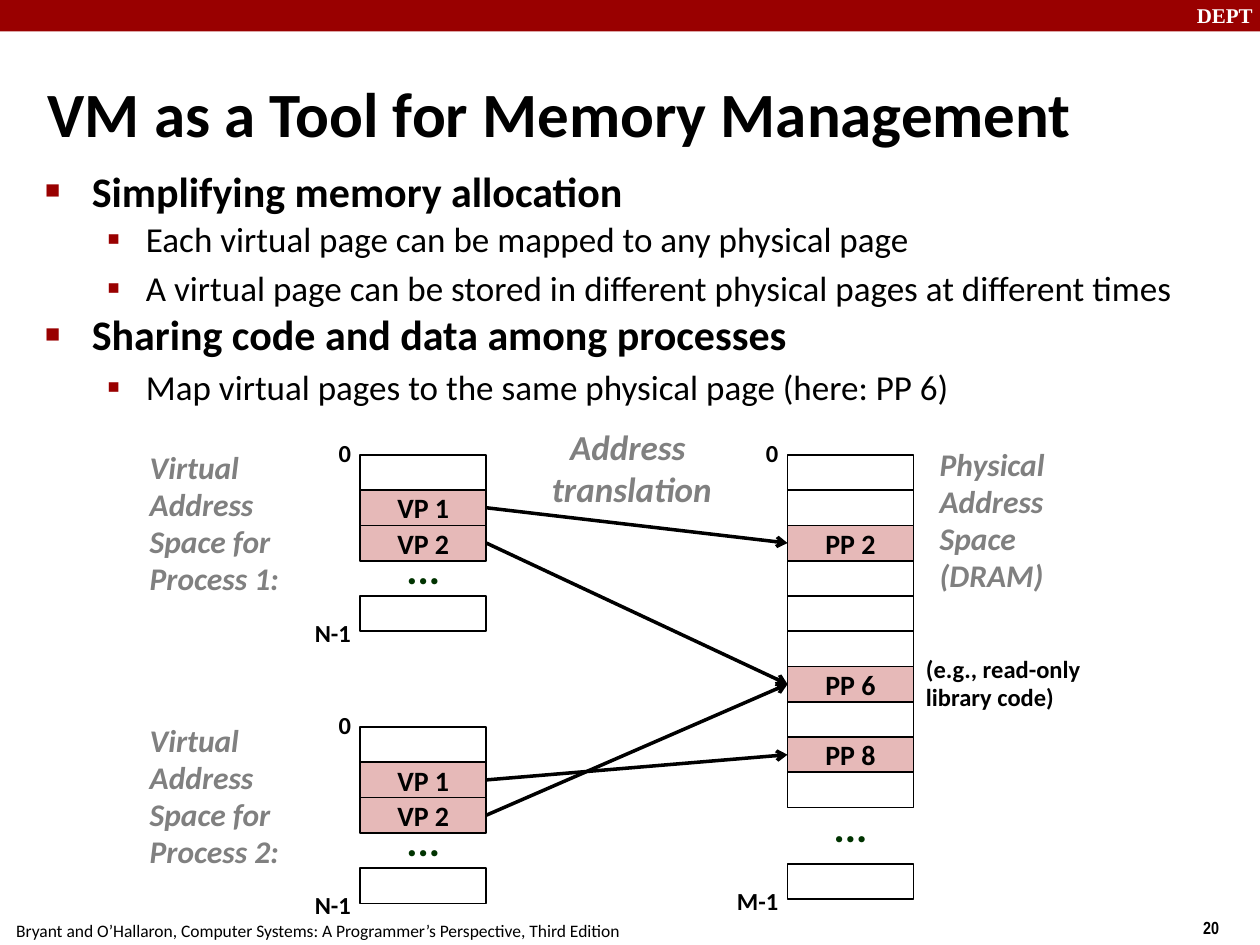
from dataclasses import dataclass

from lxml import etree
from pptx import Presentation
from pptx.dml.color import RGBColor
from pptx.enum.shapes import MSO_CONNECTOR, MSO_SHAPE
from pptx.enum.text import MSO_ANCHOR, PP_ALIGN
from pptx.oxml.ns import qn
from pptx.util import Inches, Pt

RECT = MSO_SHAPE.RECTANGLE
STRAIGHT = MSO_CONNECTOR.STRAIGHT
MIDDLE, TOP = MSO_ANCHOR.MIDDLE, MSO_ANCHOR.TOP
LEFT, CENTER = PP_ALIGN.LEFT, PP_ALIGN.CENTER


@dataclass(frozen=True)
class Theme:
    font: str = "Calibri"
    number_font: str = "Arial Narrow"
    banner_font: str = "Times New Roman"
    bullet_font: str = "Times New Roman"
    accent: str = "990000"
    ink: str = "000000"
    muted: str = "808080"
    mapped: str = "E6B9B8"
    dots: str = "003300"
    paper: str = "FFFFFF"
    title: int = 36
    topic: int = 24
    detail: int = 20
    caption: int = 18
    cell: int = 16
    label: int = 14
    banner: int = 12
    footer: int = 10


THEME = Theme()

# Content
TITLE = "VM as a Tool for Memory Management"
BANNER = "DEPT"
FOOTER = "Bryant and O’Hallaron, Computer Systems: A Programmer’s Perspective, Third Edition"
PAGE = "20"
# Level, line spacing, text
OUTLINE = [
    (0, 0.83, "Simplifying memory allocation"),
    (1, 0.88, "Each virtual page can be mapped to any physical page"),
    (1, 1.0, "A virtual page can be stored in different physical pages at different times"),
    (0, 0.83, "Sharing code and data among processes"),
    (1, 1.0, "Map virtual pages to the same physical page (here: PP 6)"),
]
# Left indent, hanging indent, space before, bullet, bullet percent, size, bold
LEVELS = [
    (0.38, -0.37, 4.8, "■", 60, THEME.topic, True),
    (0.81, -0.31, 4, "▪", 110, THEME.detail, False),
]
VIRTUAL = dict(x=2.86, rows=3, last=4, dots=0.70, pages={1: "VP 1", 2: "VP 2"},
               end="N-1", end_width=0.49)
SPACES = {
    "process 1": dict(VIRTUAL, y=3.61),
    "process 2": dict(VIRTUAL, y=5.77),
    "physical": dict(x=6.25, y=3.61, rows=10, last=11.6, dots=2.75,
                     pages={2: "PP 2", 6: "PP 6", 8: "PP 8"},
                     end="M-1", end_width=0.53),
}
# Process, virtual page, physical page
MAPPINGS = [("process 1", 1, 2), ("process 1", 2, 6),
            ("process 2", 2, 6), ("process 2", 1, 8)]
CAPTIONS = [
    (1.09, 3.52, 1.5, ["Virtual Address Space for Process 1:"]),
    (1.09, 5.69, 1.5, ["Virtual Address Space for Process 2:"]),
    (7.36, 3.5, 1.17, ["Physical", "Address", "Space (DRAM)"]),
]
CELL_W, CELL_H = 1, 0.28
DOTS_W = 0.7

prs = Presentation()
prs.slide_width, prs.slide_height = Inches(10), Inches(7.5)
slide = prs.slides.add_slide(prs.slide_layouts[6])


def color(value):
    return RGBColor.from_string(value)


def write(frame, lines, size, ink=THEME.ink, font=THEME.font, bold=True,
          italic=False, align=LEFT, spacing=None, before=None):
    frame.text = "\n".join(lines)
    for paragraph in frame.paragraphs:
        paragraph.alignment = align
        paragraph.line_spacing = spacing
        paragraph.space_before = before
        for run in paragraph.runs:
            run.font.name, run.font.size = font, Pt(size)
            run.font.bold, run.font.italic = bold, italic
            run.font.color.rgb = color(ink)


def add_text(x, y, w, h, lines, size, wrap=False, anchor=TOP, **style):
    frame = slide.shapes.add_textbox(*map(Inches, (x, y, w, h))).text_frame
    frame.word_wrap, frame.vertical_anchor = wrap, anchor
    write(frame, lines, size, **style)
    return frame


def add_box(x, y, w, h, fill=None, outline=None):
    box = slide.shapes.add_shape(RECT, *map(Inches, (x, y, w, h)))
    box.shadow.inherit = False
    if fill:
        box.fill.solid()
        box.fill.fore_color.rgb = color(fill)
    else:
        box.fill.background()
    if outline:
        box.line.color.rgb, box.line.width = color(outline), Pt(1)
    else:
        box.line.fill.background()
    return box


def indent(paragraph, left, hanging):
    props = paragraph._p.get_or_add_pPr()
    props.set("marL", str(Inches(left)))
    props.set("indent", str(Inches(hanging)))
    return props


def add_space(x, y, rows, last, dots, pages, end, end_width):
    for row in [*range(rows), last]:
        page = pages.get(row)
        cell = add_box(x, y + row * CELL_H, CELL_W, CELL_H,
                       THEME.mapped if page else None, THEME.ink)
        if page:
            cell.text_frame.vertical_anchor = MIDDLE
            write(cell.text_frame, [page], THEME.cell, align=CENTER)
    add_text(x + (CELL_W - DOTS_W) / 2, y + dots, DOTS_W, 0.5, ["..."], THEME.topic,
             ink=THEME.dots, align=CENTER, spacing=0.88, before=Pt(9))
    for text, width, top in (("0", 0.3, y - 0.17),
                             (end, end_width, y + last * CELL_H + 0.14)):
        add_text(x + 0.03 - width, top, width, 0.33, [text], THEME.label, spacing=0.98)


def page_middle(space, row):
    return SPACES[space]["y"] + (row + 0.5) * CELL_H


def add_arrow(x1, y1, x2, y2):
    arrow = slide.shapes.add_connector(STRAIGHT, *map(Inches, (x1, y1, x2, y2)))
    arrow.line.color.rgb, arrow.line.width = color(THEME.ink), Pt(2)
    etree.SubElement(arrow.line._get_or_add_ln(), qn("a:tailEnd"), type="arrow")
    etree.SubElement(arrow._element.spPr, qn("a:effectLst"))


# Banner and footer
add_box(0, 0, 10, 0.25, THEME.accent)
add_text(9.4, -0.03, 0.67, 0.3, [BANNER], THEME.banner, ink=THEME.paper,
         font=THEME.banner_font)
add_text(9.45, 7.23, 0.75, 0.29, [PAGE], THEME.footer, wrap=True, font=THEME.number_font)
add_text(0.03, 7.25, 4.99, 0.27, [FOOTER], THEME.footer, bold=False)

# Title and outline
title = add_text(0.28, 0.58, 9.42, 0.63, [TITLE], THEME.title, wrap=True, anchor=MIDDLE)
indent(title.paragraphs[0], 0.13, -0.13)
outline = add_text(0.25, 1.33, 9.58, 2.08, [text for *_, text in OUTLINE],
                   THEME.detail, wrap=True)
for paragraph, (level, spacing, _) in zip(outline.paragraphs, OUTLINE):
    left, hanging, before, bullet, percent, size, bold = LEVELS[level]
    paragraph.level, paragraph.line_spacing = level, spacing
    paragraph.space_before = Pt(before)
    paragraph.runs[0].font.size, paragraph.runs[0].font.bold = Pt(size), bold
    props = indent(paragraph, left, hanging)
    bullet_color = etree.SubElement(props, qn("a:buClr"))
    etree.SubElement(bullet_color, qn("a:srgbClr"), val=THEME.accent)
    etree.SubElement(props, qn("a:buSzPct"), val=str(percent * 1000))
    etree.SubElement(props, qn("a:buFont"), typeface=THEME.bullet_font)
    etree.SubElement(props, qn("a:buChar"), char=bullet)

# Address spaces and their captions
for space in SPACES.values():
    add_space(**space)
for x, y, width, lines in CAPTIONS:
    add_text(x, y, width, 1.28, lines, THEME.caption, wrap=True, ink=THEME.muted,
             italic=True, spacing=0.98)
add_text(7.25, 5.15, 1.58, 0.56, ["(e.g., read-only", "library code)"], THEME.label,
         wrap=True, spacing=0.98)

# Page mappings
for process, virtual_page, physical_page in MAPPINGS:
    add_arrow(SPACES[process]["x"] + CELL_W, page_middle(process, virtual_page),
              SPACES["physical"]["x"], page_middle("physical", physical_page))
add_text(4.28, 3.33, 1.47, 0.77, ["Address ", "translation"], THEME.detail,
         ink=THEME.muted, italic=True, align=CENTER)

prs.save("out.pptx")
